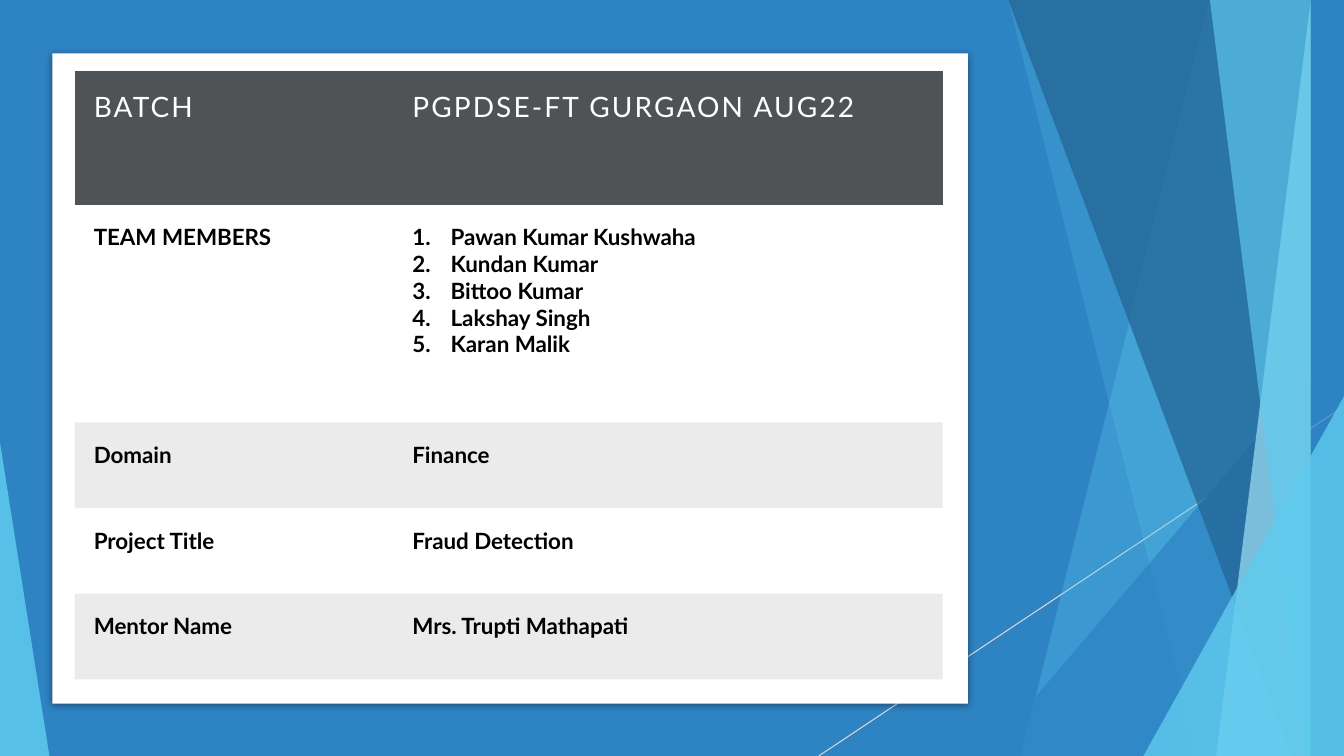
from lxml.etree import SubElement
from pptx import Presentation
from pptx.dml.color import RGBColor
from pptx.enum.shapes import MSO_CONNECTOR, MSO_SHAPE
from pptx.oxml.ns import qn
from pptx.util import Inches, Pt

BLUE = RGBColor(0x2E, 0x83, 0xC3)
NAVY = RGBColor(0x22, 0x62, 0x92)
SKY = RGBColor(0x5F, 0xCB, 0xEF)
PALE_SKY = RGBColor(0x9F, 0xE0, 0xF5)
SILVER = RGBColor(0xD9, 0xD9, 0xD9)
CHARCOAL = RGBColor(0x50, 0x53, 0x56)
WHITE = RGBColor(0xFF, 0xFF, 0xFF)
BLACK = RGBColor(0, 0, 0)

WIDTH, HEIGHT, TOP = 13.33, 7.5, -0.01
NO_STYLE_NO_GRID = "{2D5ABB26-0587-4C30-8999-92F81FD0307C}"
HEADER_FONT = {"name": "Lato", "size": Pt(20), "bold": False}
BODY_FONT = {"name": "Lato", "size": Pt(16), "bold": True}
CELL_FORMAT = {side: Inches(0.19) for side in
               ("margin_left", "margin_top", "margin_right", "margin_bottom")}

FACETS = [
    ("band", (12.28, 10.04), SKY, 30),
    ("band", (10.5, 11.83), SKY, 20),
    ("triangle", (9.77, 3.33, 3.56, 4.17, 1), BLUE, 72),
    ("band", (10.21, 12.91), NAVY, 70),
    ("band", (13.03, 11.92), PALE_SKY, 70),
    ("band", (11.96, 13.18), SKY, 65),
    ("triangle", (11.34, 3.93, 1.99, 3.57, 1), SKY, 80),
    ("triangle", (0, 4.39, 0.49, 3.11, 0), SKY, 85),
]

PROJECT = [
    ("BATCH", ["PGPDSE-FT GURGAON AUG22"]),
    ("TEAM MEMBERS", ["Pawan Kumar Kushwaha", "Kundan Kumar", "Bittoo Kumar",
                      "Lakshay Singh", "Karan Malik"]),
    ("Domain", ["Finance"]),
    ("Project Title", ["Fraud Detection"]),
    ("Mentor Name", ["Mrs. Trupti Mathapati"]),
]
COLUMN_WIDTHS = [3.16, 5.45]
ROW_HEIGHTS = [1.33, 2.16, 0.85, 0.85, 0.85]


def apply_format(target, values):
    for attribute, value in values.items():
        setattr(target, attribute, value)


def paint(target, color, opacity, properties):
    target.fill.solid()
    target.fill.fore_color.rgb = color
    if opacity < 100:
        tint = properties.find(qn("a:solidFill")).find(qn("a:srgbClr"))
        SubElement(tint, qn("a:alpha"), val=str(opacity * 1000))


class SlideBuilder:
    def __init__(self, slide):
        self.slide = slide
        self.shapes = slide.shapes

    def finish(self, shape, color, opacity):
        paint(shape, color, opacity, shape._element.spPr)
        shape.line.fill.background()
        shape.shadow.inherit = False
        return shape

    def rectangle(self, left, top, width, height, color):
        box = self.shapes.add_shape(MSO_SHAPE.RECTANGLE, Inches(left), Inches(top),
                                    Inches(width), Inches(height))
        return self.finish(box, color, 100)

    def band(self, span, color, opacity):
        upper, lower = span
        outline = self.shapes.build_freeform(upper, TOP, scale=Inches(1))
        outline.add_line_segments([(WIDTH, TOP), (WIDTH, HEIGHT), (lower, HEIGHT)])
        self.finish(outline.convert_to_shape(), color, opacity)

    def triangle(self, geometry, color, opacity):
        *frame, apex = geometry
        facet = self.shapes.add_shape(MSO_SHAPE.ISOSCELES_TRIANGLE, *map(Inches, frame))
        facet.adjustments[0] = apex
        self.finish(facet, color, opacity)

    def line(self, start, end, color):
        ray = self.shapes.add_connector(MSO_CONNECTOR.STRAIGHT, *map(Inches, start + end))
        ray.line.color.rgb = color
        ray.line.width = Pt(0.75)
        SubElement(ray._element.spPr, qn("a:effectLst"))

    def panel(self, left, top, width, height):
        card = self.rectangle(left, top, width, height, WHITE)
        effects = card._element.spPr.find(qn("a:effectLst"))
        shadow = SubElement(effects, qn("a:outerShdw"), blurRad=str(Pt(5)),
                            dist=str(Pt(1.4)), dir="5400000", rotWithShape="0")
        tint = SubElement(shadow, qn("a:srgbClr"), val=str(BLACK))
        SubElement(tint, qn("a:alpha"), val="43000")

    def cell(self, cell, lines, row):
        apply_format(cell, CELL_FORMAT)
        if row == 0:
            paint(cell, CHARCOAL, 100, cell._tc.tcPr)
        elif row % 2 == 0:
            paint(cell, BLACK, 8, cell._tc.tcPr)
        else:
            cell.fill.background()
        cell.text = "\n".join(lines)
        for paragraph in cell.text_frame.paragraphs:
            run = paragraph.runs[0]
            apply_format(run.font, BODY_FONT if row else HEADER_FONT)
            run.font.color.rgb = BLACK if row else WHITE
            if row == 0:
                run._r.get_or_add_rPr().set("spc", "150")
            if len(lines) > 1:
                numbering = paragraph._p.get_or_add_pPr()
                numbering.set("marL", str(Inches(0.38)))
                numbering.set("indent", str(Inches(-0.38)))
                SubElement(numbering, qn("a:buAutoNum"), type="arabicPeriod")

    def table(self, left, top, entries):
        frame = self.shapes.add_table(
            len(entries), len(COLUMN_WIDTHS), Inches(left), Inches(top),
            Inches(sum(COLUMN_WIDTHS)), Inches(sum(ROW_HEIGHTS)))
        grid = frame.table
        apply_format(grid, {"first_row": False, "horz_banding": False})
        grid._tbl.tblPr.find(qn("a:tableStyleId")).text = NO_STYLE_NO_GRID
        for column, width in zip(grid.columns, COLUMN_WIDTHS):
            column.width = Inches(width)
        for row, (label, details) in enumerate(entries):
            grid.rows[row].height = Inches(ROW_HEIGHTS[row])
            self.cell(grid.cell(row, 0), [label], row)
            self.cell(grid.cell(row, 1), details, row)


def main():
    deck = Presentation()
    apply_format(deck, {"slide_width": Inches(WIDTH), "slide_height": Inches(HEIGHT)})
    builder = SlideBuilder(deck.slides.add_slide(deck.slide_layouts[6]))
    builder.rectangle(0, 0, WIDTH, HEIGHT, BLUE)
    builder.line((WIDTH, 4.03), (8.12, HEIGHT), SILVER)
    for kind, geometry, color, opacity in FACETS:
        draw = builder.band if kind == "band" else builder.triangle
        draw(geometry, color, opacity)
    builder.panel(0.52, 0.53, 9.08, 6.45)
    builder.table(0.74, 0.7, PROJECT)
    deck.save("out.pptx")


if __name__ == "__main__":
    main()
